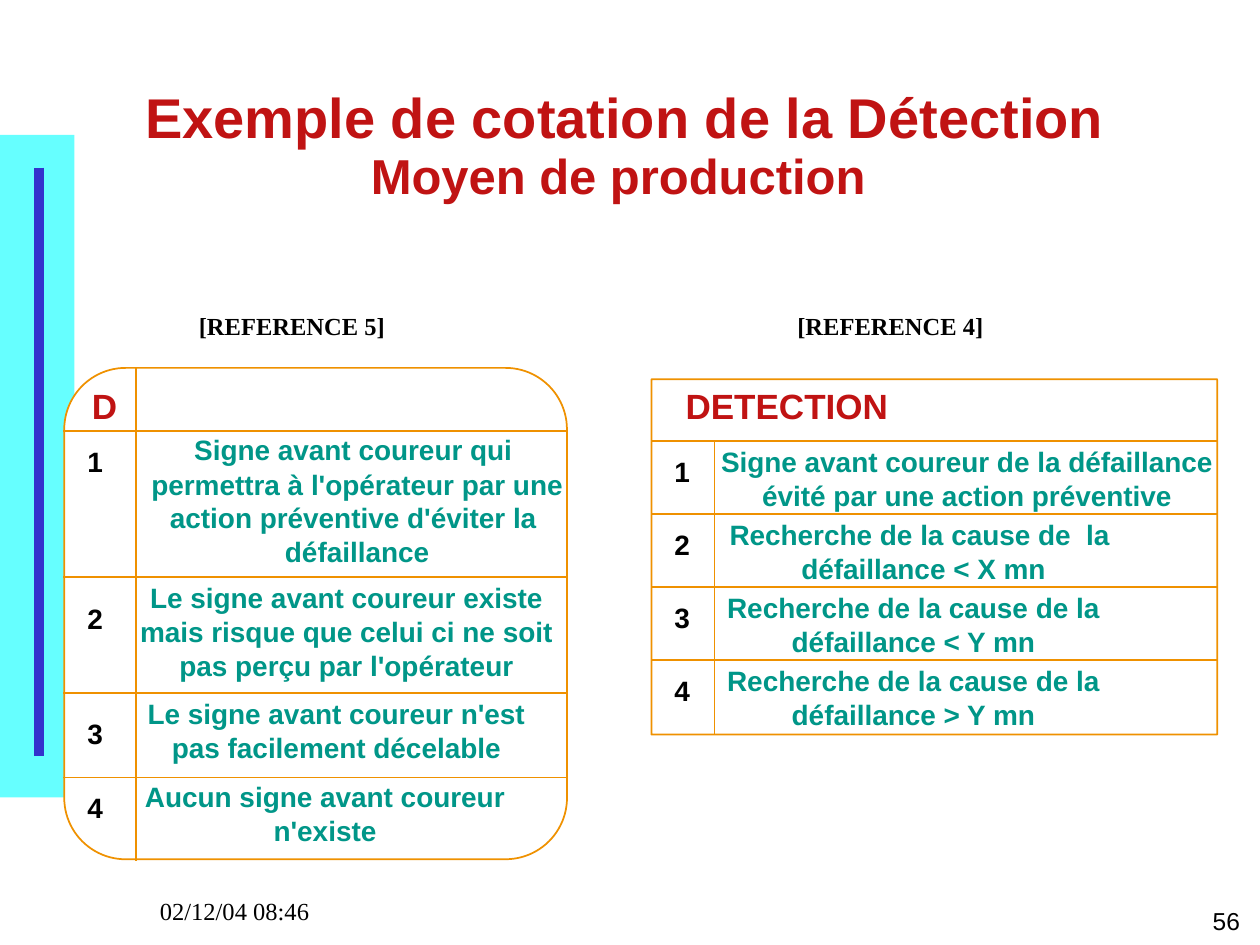
from lxml import etree
from pptx import Presentation
from pptx.dml.color import RGBColor
from pptx.enum.shapes import MSO_CONNECTOR as CONN, MSO_SHAPE as SHAPE
from pptx.enum.text import MSO_ANCHOR as ANCHOR, MSO_AUTO_SIZE as AUTO, PP_ALIGN as ALIGN
from pptx.oxml.ns import qn
from pptx.util import Inches, Pt

CYAN, BLUE, WHITE, BLACK = "66FFFF", "3333CC", "FFFFFF", "000000"
RED, TEAL, ORANGE = "C01313", "009688", "EF9100"
BODY = {"name": "Arial", "size": Pt(16), "bold": True}
HEADING = {**BODY, "size": Pt(20)}
TITLE = {**BODY, "size": Pt(32)}
SUBTITLE = {**BODY, "size": Pt(28)}
FOOTER = {"name": "Times New Roman", "size": Pt(14)}
REFERENCE = {**FOOTER, "bold": True}
PAGE = {**FOOTER, "name": "Arial"}


def rgb(value):
    """Turn a hex string into a colour."""
    return RGBColor.from_string(value)


def add_panel(slide, kind, box, fill=None, line=None, corner=None):
    """Add a preset shape with an optional fill, outline and corner rounding."""
    sp = slide.shapes.add_shape(kind, *map(Inches, box))
    sp.shadow.inherit = False
    if fill:
        sp.fill.solid()
        sp.fill.fore_color.rgb = rgb(fill)
    else:
        sp.fill.background()
    if line:
        sp.line.color.rgb = rgb(line)
        sp.line.width = Pt(1)
    else:
        sp.line.fill.background()
    if corner is not None:
        sp.adjustments[0] = corner
    return sp


def add_line(slide, start, end, color=ORANGE, width=1):
    """Add a straight line without a shadow."""
    cxn = slide.shapes.add_connector(CONN.STRAIGHT, *map(Inches, (*start, *end)))
    cxn.line.color.rgb = rgb(color)
    cxn.line.width = Pt(width)
    etree.SubElement(cxn._element.spPr, qn("a:effectLst"))


def add_run(p, text, fmt, color):
    """Append a formatted run to a paragraph."""
    r = p.add_run()
    r.text = text
    for name, value in fmt.items():
        setattr(r.font, name, value)
    r.font.color.rgb = rgb(color)


def fill_text(tf, lines, fmt, color, align, wrap):
    """Write one paragraph per line into a text frame."""
    tf.word_wrap = wrap
    tf.vertical_anchor = ANCHOR.TOP
    for i, line in enumerate(lines):
        p = tf.add_paragraph() if i else tf.paragraphs[0]
        p.alignment = align
        p.line_spacing = 1.0 if i else 0.93
        add_run(p, line, fmt, color)
    return tf


def add_text(slide, box, lines, fmt, color, align):
    """Add a wrapping text box."""
    tf = slide.shapes.add_textbox(*map(Inches, box)).text_frame
    return fill_text(tf, lines, fmt, color, align, True)


def add_label(slide, box, lines, fmt, color, align=ALIGN.CENTER):
    """Add a label shape without fill or outline that grows with its text."""
    sp = add_panel(slide, SHAPE.ROUNDED_RECTANGLE, box, corner=0.003)
    tf = fill_text(sp.text_frame, lines, fmt, color, align, False)
    tf.auto_size = AUTO.SHAPE_TO_FIT_TEXT


def add_title(slide, title, subtitle):
    """Add the two-line slide title."""
    tf = add_text(slide, (0.5, 0.63, 8.92, 1.07), [title], TITLE, RED, ALIGN.CENTER)
    tf.vertical_anchor = ANCHOR.MIDDLE
    p = tf.paragraphs[0]
    p.add_line_break()
    add_run(p, subtitle, SUBTITLE, RED)


def add_grid(slide, left, right, rows, column, top, bottom):
    """Add the row lines and the column line of a rating grid."""
    for y in rows:
        add_line(slide, (left, y), (right, y))
    add_line(slide, (column, top), (column, bottom))


def add_ratings(slide, number_left, ratings):
    """Add the numbered rating texts of a grid."""
    for number, (number_top, box, lines) in enumerate(ratings, 1):
        add_label(slide, (number_left, number_top, 0.33, 0.35), [str(number)], BODY, BLACK)
        add_label(slide, box, lines, BODY, TEAL)


def add_sign_grid(slide):
    """Add the rounded grid rating the warning signs."""
    add_panel(slide, SHAPE.ROUNDED_RECTANGLE, (0.51, 2.92, 3.99, 3.9), WHITE, ORANGE, 0.125)
    add_grid(slide, 0.5, 4.5, (3.42, 4.58, 5.5, 6.17), 1.08, 2.92, 6.83)
    add_label(slide, (0.63, 3.03, 0.4, 0.41), ["D"], HEADING, RED)
    add_ratings(slide, 0.59, [
        (3.5, (1.1, 3.41, 3.47, 1.15),
         ["Signe avant coureur qui ", "permettra à l'opérateur par une",
          "action préventive d'éviter la ", "défaillance"]),
        (4.75, (1.01, 4.58, 3.48, 0.88),
         ["Le signe avant coureur existe", "mais risque que celui ci ne soit",
          "pas perçu par l'opérateur"]),
        (5.66, (1.07, 5.5, 3.2, 0.62),
         ["Le signe avant coureur n'est", "pas facilement décelable"]),
        (6.25, (1.05, 6.16, 3.06, 0.62),
         ["Aucun signe avant coureur", "n'existe"]),
    ])


def add_detection_grid(slide):
    """Add the square grid rating the detection time."""
    top, step = 3.5, 0.58
    add_panel(slide, SHAPE.ROUNDED_RECTANGLE, (5.17, 3.01, 4.49, 2.82), WHITE, ORANGE, 0.001)
    add_grid(slide, 5.17, 9.67, [top + step * i for i in range(4)], 5.67, top, 5.83)
    add_label(slide, (5.34, 3.03, 1.81, 0.41), ["DETECTION"], HEADING, RED)
    ratings = [
        (5.62, 4.11, ["Signe avant coureur de la défaillance", "évité par une action préventive"]),
        (5.69, 3.28, ["Recherche de la cause de  la ", "défaillance < X mn"]),
        (5.67, 3.16, ["Recherche de la cause de la", "défaillance < Y mn"]),
        (5.67, 3.16, ["Recherche de la cause de la", "défaillance > Y mn"]),
    ]
    add_ratings(slide, 5.25, [
        (top + step * i + 0.08, (left, top + step * i, width, 0.62), lines)
        for i, (left, width, lines) in enumerate(ratings)
    ])


def main():
    """Build the slide and save it."""
    prs = Presentation()
    prs.slide_width, prs.slide_height = Inches(10), Inches(7.5)
    slide = prs.slides.add_slide(prs.slide_layouts[6])
    add_panel(slide, SHAPE.RECTANGLE, (0, 1.07, 0.59, 5.26), CYAN)
    add_text(slide, (7.86, 7.16, 2.08, 0.32), ["56"], PAGE, BLACK, ALIGN.RIGHT)
    add_text(slide, (1.17, 7.08, 2.08, 0.32), ["02/12/04 08:46"], FOOTER, BLACK, ALIGN.LEFT)
    add_line(slide, (0.31, 1.33), (0.31, 6), BLUE, 6)
    add_title(slide, "Exemple de cotation de la Détection", "Moyen de production ")
    add_detection_grid(slide)
    add_sign_grid(slide)
    for left, number in ((1.48, 5), (6.23, 4)):
        add_label(slide, (left, 2.44, 1.73, 0.32), [f"[REFERENCE {number}]"],
                  REFERENCE, BLACK, ALIGN.LEFT)
    prs.save("out.pptx")


if __name__ == "__main__":
    main()
